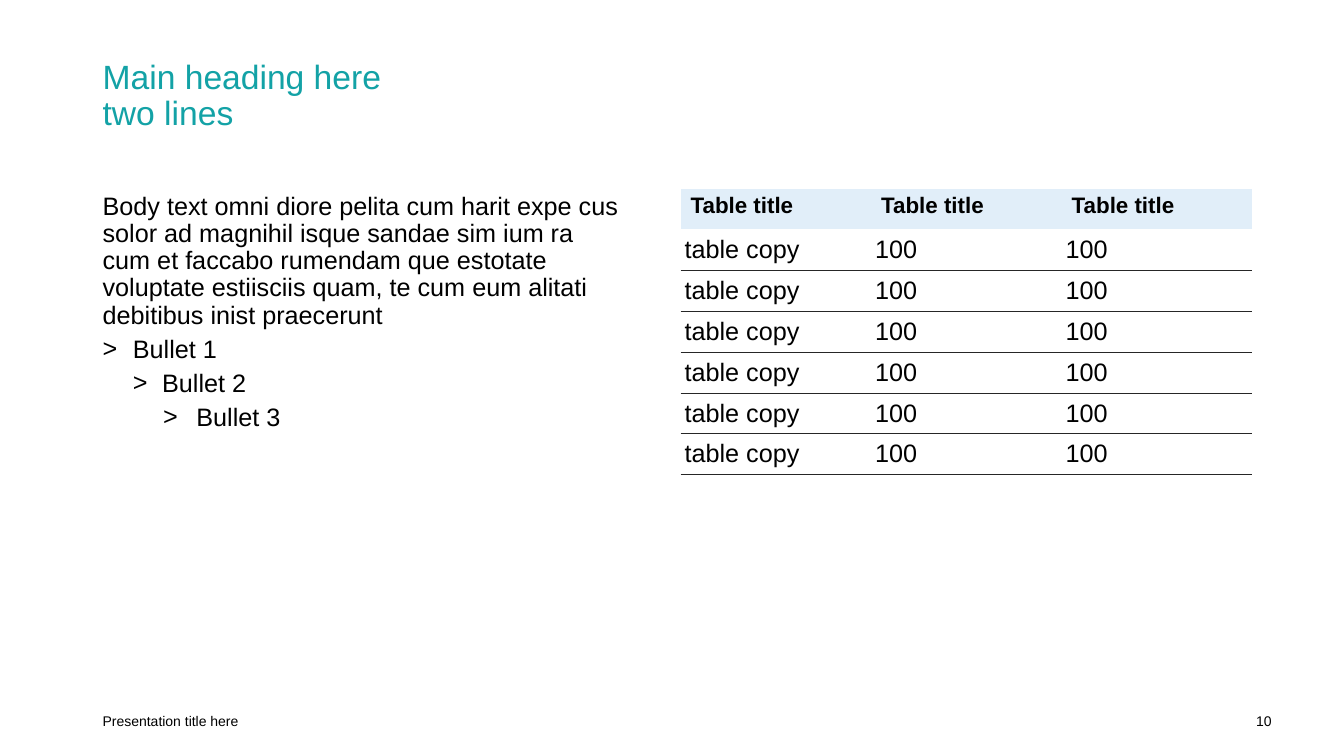
import pptx
import pptx.dml.color
import pptx.enum.text
import pptx.oxml
import pptx.oxml.ns
import pptx.util

PX = 9144
NS = pptx.oxml.ns.nsdecls("a")
ANCHOR = pptx.enum.text.MSO_ANCHOR
ALIGN = pptx.enum.text.PP_ALIGN


def rgb(value):
    return pptx.dml.color.RGBColor.from_string(value)


def write(p, text, size=18, color="000000", bold=False, align=ALIGN.LEFT, spacing=1.0, before=0):
    p.text = text
    p.alignment = align
    p.line_spacing = spacing
    p.space_before = pptx.util.Pt(before)
    for r in p.runs:
        r.font.name = "Arial"
        r.font.size = pptx.util.Pt(size)
        r.font.bold = bold
        r.font.color.rgb = rgb(color)


prs = pptx.Presentation()
prs.slide_width = 1333 * PX
prs.slide_height = 750 * PX
s = prs.slides.add_slide(prs.slide_layouts[6])

body = (
    "Body text omni diore pelita cum harit expe cus solor ad magnihil isque sandae "
    "sim ium ra cum et faccabo rumendam que estotate voluptate estiisciis quam, "
    "te cum eum alitati debitibus inist praecerunt"
)
boxes = [
    (92, 40, 1150, 97, ANCHOR.BOTTOM, "Main heading here\vtwo lines",
     dict(size=24, color="13A2A6", spacing=0.9)),
    (92, 695, 800, 40, ANCHOR.MIDDLE, "Presentation title here", dict(size=10)),
    (971, 695, 300, 40, ANCHOR.MIDDLE, "10", dict(size=10, align=ALIGN.RIGHT)),
    (92, 187, 537, 488, ANCHOR.TOP, body, dict(spacing=0.9)),
]
for x, y, w, h, anchor, text, style in boxes:
    tf = s.shapes.add_textbox(x * PX, y * PX, w * PX, h * PX).text_frame
    tf.word_wrap = True
    tf.vertical_anchor = anchor
    write(tf.paragraphs[0], text, **style)

bullets = [("Bullet 1", 30, 30), ("Bullet 2", 59, 29), ("Bullet 3", 93, 33)]
for level, (text, margin, hanging) in enumerate(bullets, 1):
    p = tf.add_paragraph()
    p.level = level
    pPr = p._p.get_or_add_pPr()
    pPr.set("marL", str(margin * PX))
    pPr.set("indent", str(-hanging * PX))
    pPr.append(pptx.oxml.parse_xml(f'<a:buFont {NS} typeface="Arial"/>'))
    pPr.append(pptx.oxml.parse_xml(f'<a:buChar {NS} char="&gt;"/>'))
    write(p, text, spacing=0.9, before=5)

rows = [["Table title"] * 3] + [["table copy", "100", "100"]] * 6
table = s.shapes.add_table(len(rows), 3, 675 * PX, 187 * PX, 567 * PX, 284 * PX).table
table.first_row = False
table.horz_banding = False
style_id = table._tbl.tblPr.find(pptx.oxml.ns.qn("a:tableStyleId"))
style_id.text = "{2D5ABB26-0587-4C30-8999-92F81FD0307C}"
for i, row in enumerate(rows):
    for j, text in enumerate(row):
        cell = table.cell(i, j)
        if i == 0:
            write(cell.text_frame.paragraphs[0], text, size=16, bold=True)
            cell.fill.solid()
            cell.fill.fore_color.rgb = rgb("E1EEF9")
            continue
        write(cell.text_frame.paragraphs[0], text)
        cell.vertical_anchor = ANCHOR.MIDDLE
        cell.margin_left = cell.margin_right = 4 * PX
        cell.margin_top = cell.margin_bottom = 4 * PX
        cell._tc.get_or_add_tcPr().append(pptx.oxml.parse_xml(
            f'<a:lnB {NS} w="6350"><a:solidFill><a:srgbClr val="262626"/></a:solidFill></a:lnB>'))
        cell.fill.background()

prs.save("out.pptx")
